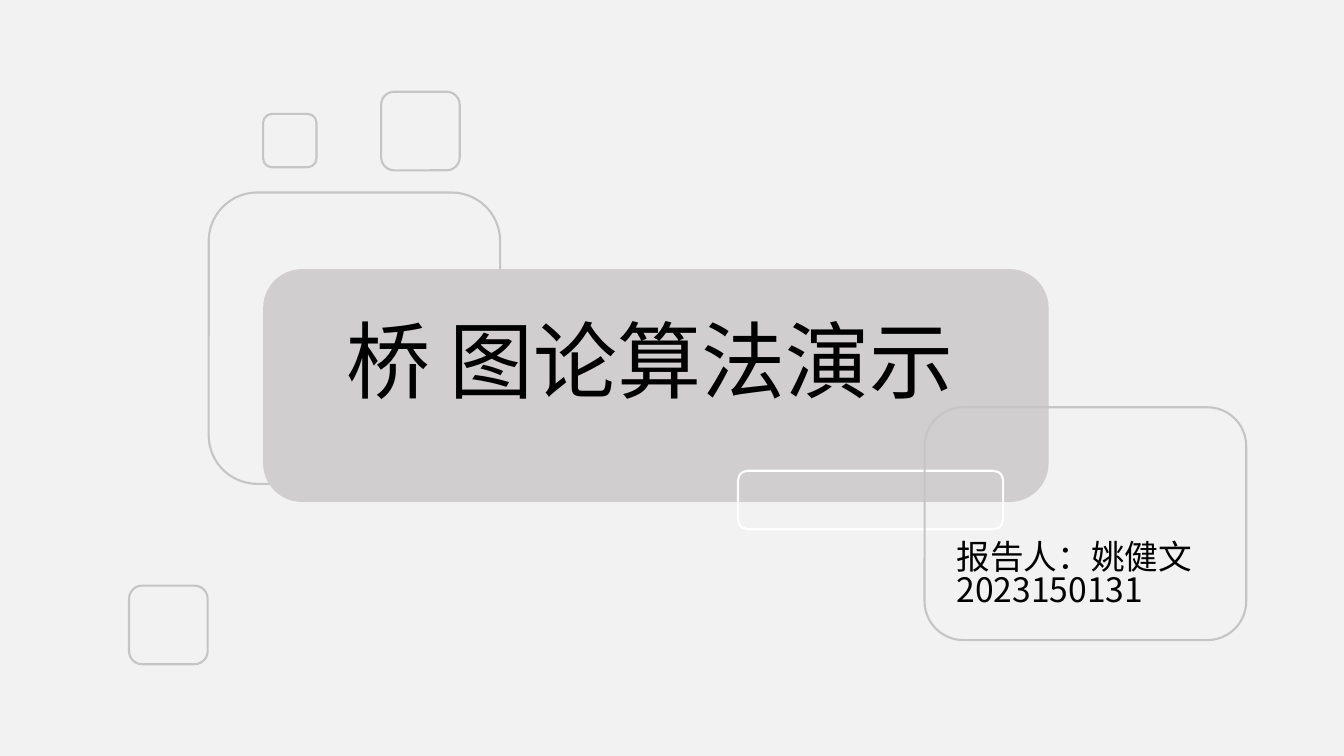
from pptx import Presentation
from pptx.dml.color import RGBColor
from pptx.enum.shapes import MSO_SHAPE
from pptx.oxml.ns import qn
from pptx.util import Inches, Pt
from lxml import etree

ROUNDED = MSO_SHAPE.ROUNDED_RECTANGLE
FONT = "Noto Sans CJK SC"
COLORS = {"page": "F2F2F2", "outline": "C5C5C5", "band": "D0CECE",
          "white": "FFFFFF", "text": "000000"}

deck = Presentation()
deck.slide_width, deck.slide_height = Inches(13.33), Inches(7.5)
page = deck.slides.add_slide(deck.slide_layouts[6])
page.background.fill.solid()
page.background.fill.fore_color.rgb = RGBColor.from_string(COLORS["page"])


def add_panel(left, top, width, height, fill=None, line=None):
    panel = page.shapes.add_shape(
        ROUNDED, Inches(left), Inches(top), Inches(width), Inches(height))
    panel.shadow.inherit = False
    if fill:
        panel.fill.solid()
        panel.fill.fore_color.rgb = RGBColor.from_string(COLORS[fill])
    else:
        panel.fill.background()
    if line:
        panel.line.color.rgb = RGBColor.from_string(COLORS[line])
        panel.line.width = Pt(1.5)
    else:
        panel.line.fill.background()
    return panel


def add_text(left, top, width, height, size, lines):
    box = page.shapes.add_textbox(
        Inches(left), Inches(top), Inches(width), Inches(height))
    frame = box.text_frame
    frame.word_wrap = True
    for number, line in enumerate(lines):
        para = frame.add_paragraph() if number else frame.paragraphs[0]
        para.line_spacing = 0.82
        span = para.add_run()
        span.text = line
        span.font.size = Pt(size)
        span.font.name = FONT
        span.font.color.rgb = RGBColor.from_string(COLORS["text"])
        # East Asian typeface
        etree.SubElement(span.font._element, qn("a:ea"), typeface=FONT)


# Decorative squares: left, top, side
for left, top, side in [(2.07, 1.91, 2.89), (2.61, 1.13, 0.53),
                        (1.28, 5.81, 0.78), (3.78, 0.91, 0.78)]:
    add_panel(left, top, side, side, line="outline")

# Title band
add_panel(2.61, 2.67, 7.79, 2.31, fill="band")
add_text(3.34, 3.19, 6.93, 1.11, 60, ["桥 图论算法演示"])

# Frames over the band's lower right corner
add_panel(7.32, 4.67, 2.63, 0.58, line="white")
add_panel(9.17, 4.04, 3.19, 2.31, line="outline")

# Presenter
add_text(9.39, 5.34, 2.9, 0.91, 24, ["报告人：姚健文", "2023150131"])

deck.save("out.pptx")
